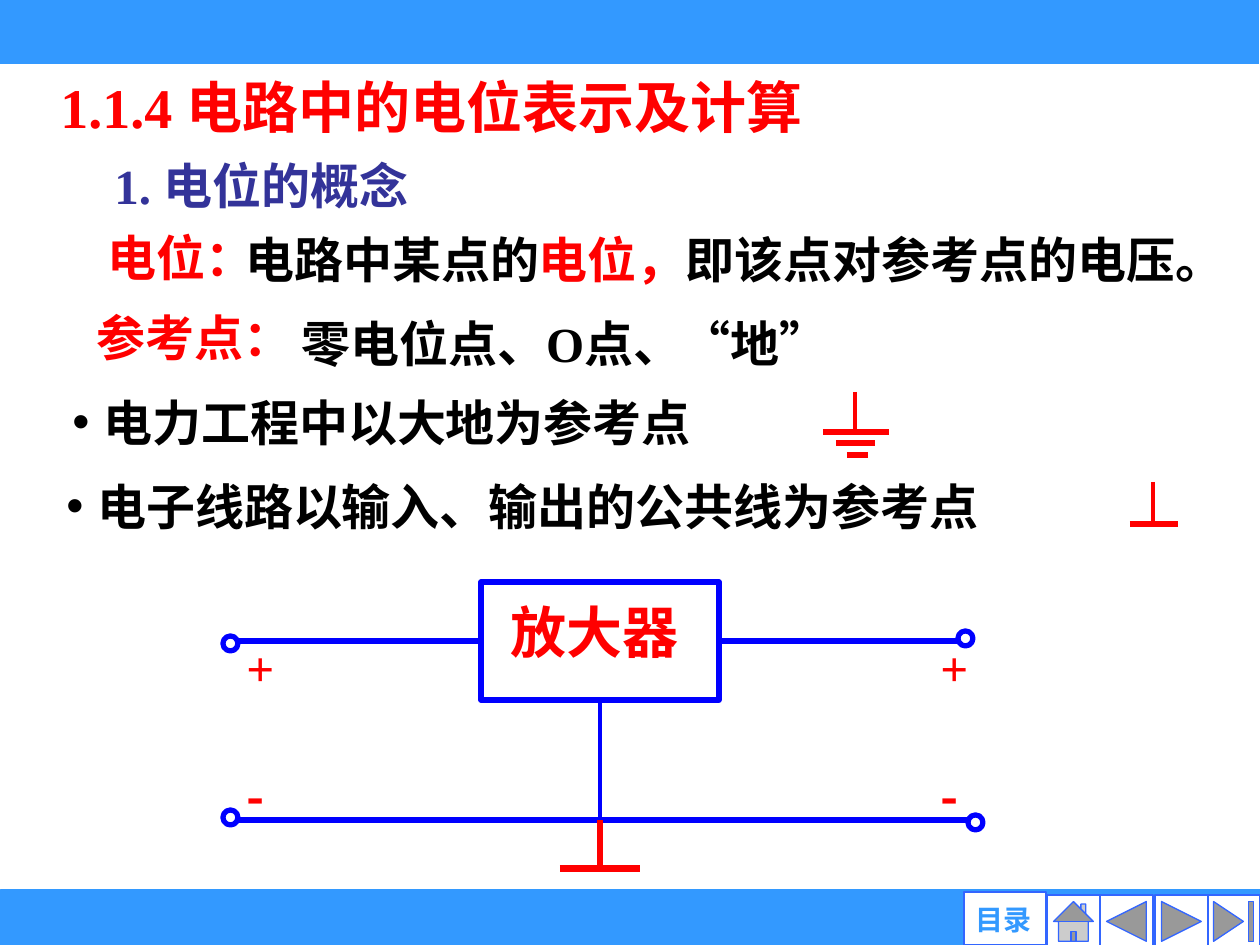
from lxml.etree import SubElement as Sub
from pptx import Presentation
from pptx.dml.color import RGBColor
from pptx.enum.shapes import MSO_CONNECTOR as Link, MSO_SHAPE as Kind
from pptx.enum.text import MSO_ANCHOR as Anchor, PP_ALIGN as Align
from pptx.oxml.ns import qn
from pptx.util import Emu, Pt

RED, BLUE, BLACK, WHITE = "FF0000", "0000FF", "000000", "FFFFFF"
SKY, EDGE, NAVY = "3399FF", "3366FF", "333399"
SERIF, SANS, HAN = "Times New Roman", "Arial", "Noto Sans CJK SC"


def px(n):
    """Turn pixels into EMU."""
    return Emu(round(n * 914400 / 126))


def color(code):
    """Turn a hex string into a colour."""
    return RGBColor.from_string(code)


def shape(page, kind, box, fill=None, line=None, width=3):
    """Add a preset shape with optional fill and line."""
    item = page.shapes.add_shape(kind, *map(px, box))
    item.shadow.inherit = False
    if fill:
        item.fill.solid()
        item.fill.fore_color.rgb = color(fill)
    else:
        item.fill.background()
    if line:
        item.line.color.rgb = color(line)
        item.line.width = Pt(width)
    else:
        item.line.fill.background()
    return item


def wire(page, start, end, tint=RED, width=3):
    """Add a straight line without a shadow."""
    item = page.shapes.add_connector(Link.STRAIGHT, *map(px, start + end))
    item.line.color.rgb = color(tint)
    item.line.width = Pt(width)
    Sub(item._element.spPr, qn("a:effectLst"))
    return item


def bullet(par):
    """Give a paragraph a round bullet and a hanging indent."""
    props = par._p.get_or_add_pPr()
    props.set("marL", str(px(31)))
    props.set("indent", str(-px(31)))
    Sub(props, qn("a:buFont"), typeface=SANS)
    Sub(props, qn("a:buChar"), char="•")


def text(page, box, *parts, size=28, font=SERIF, align=Align.LEFT,
         anchor=Anchor.TOP, wrap=True, inset=True, dot=False):
    """Add a bold text box from pairs of words and colour."""
    frame = page.shapes.add_textbox(*map(px, box)).text_frame
    frame.word_wrap = wrap
    frame.vertical_anchor = anchor
    if not inset:
        frame.margin_left = frame.margin_right = 0
        frame.margin_top = frame.margin_bottom = 0
    par = frame.paragraphs[0]
    par.alignment = align
    if dot:
        bullet(par)
    for words, tint in parts:
        run = par.add_run()
        run.text = words
        run.font.name = font
        run.font.size = Pt(size)
        run.font.bold = True
        run.font.color.rgb = color(tint)
        Sub(run._r.get_or_add_rPr(), qn("a:ea"), typeface=HAN)


def bars(page):
    """Draw the top and bottom bars with the buttons."""
    shape(page, Kind.RECTANGLE, (1, 892, 1259, 53), SKY, SKY)
    for kind, left in ((Kind.ACTION_BUTTON_END, 1207),
                       (Kind.ACTION_BUTTON_FORWARD_OR_NEXT, 1155),
                       (Kind.ACTION_BUTTON_BACK_OR_PREVIOUS, 1100),
                       (Kind.ACTION_BUTTON_HOME, 1047)):
        shape(page, kind, (left, 895, 53, 53), WHITE, EDGE, 0.75)
    shape(page, Kind.ACTION_BUTTON_CUSTOM, (964, 892, 82, 53), WHITE, EDGE, 0.75)
    text(page, (964, 902, 79, 34), ("目录", SKY), size=16, font=SANS,
         align=Align.CENTER, anchor=Anchor.MIDDLE, inset=False)
    shape(page, Kind.RECTANGLE, (0, -1, 1259, 65), SKY)


def notes(page):
    """Write the heading, the terms and the two points."""
    mid = Anchor.MIDDLE
    text(page, (48, 67, 1043, 79), ("1.1.4 电路中的电位表示及计算", RED),
         size=32, anchor=mid)
    text(page, (102, 149, 359, 72), ("1. 电位的概念", NAVY))
    text(page, (95, 221, 195, 72), ("电位：", RED), anchor=mid)
    text(page, (233, 223, 1027, 72), ("电路中某点的", BLACK), ("电位，", RED),
         ("即该点对参考点的电压。", BLACK), anchor=mid)
    text(page, (84, 301, 261, 72), ("参考点：", RED), anchor=mid)
    text(page, (289, 307, 840, 72), ("零电位点、O点、“地”", BLACK), anchor=mid)
    text(page, (60, 386, 737, 72), ("电力工程中以大地为参考点", BLACK), dot=True)
    text(page, (54, 470, 1074, 72),
         ("电子线路以输入、输出的公共线为参考点", BLACK), dot=True)


def grounds(page):
    """Draw the earth and common ground signs."""
    wire(page, (855, 392), (855, 433), width=2)
    for left, right, top in ((823, 889, 432), (836, 875, 443), (847, 868, 455)):
        wire(page, (left, top), (right, top))
    wire(page, (1153, 482), (1153, 525), width=2)
    wire(page, (1130, 524), (1178, 524))


def circuit(page):
    """Draw the amplifier with its wires, ports and signs."""
    amp = shape(page, Kind.RECTANGLE, (481, 582, 238, 118), line=BLUE)
    text(page, (441, 591, 307, 79), ("放大器", RED), size=32, font=SANS,
         align=Align.CENTER)
    wire(page, (233, 641), (481, 641), BLUE).end_connect(amp, 1)
    wire(page, (719, 641), (968, 641), BLUE).begin_connect(amp, 3)
    wire(page, (233, 820), (968, 820), BLUE)
    wire(page, (600, 820), (600, 700), BLUE, 2.5).end_connect(amp, 2)
    wire(page, (600, 820), (600, 869))
    wire(page, (560, 869), (640, 869), width=4)
    for left, top in ((223, 636), (968, 815), (958, 631), (223, 810)):
        shape(page, Kind.OVAL, (left, top, 15, 15), WHITE, BLUE)
    for left in (234, 928):
        text(page, (left, 631, 53, 72), ("+", RED), wrap=False)
        text(page, (left, 760, 50, 72), ("-", RED), font=HAN, wrap=False)


def main():
    """Build and save the slide."""
    deck = Presentation()
    deck.slide_width, deck.slide_height = px(1260), px(945)
    page = deck.slides.add_slide(deck.slide_layouts[6])
    bars(page)
    notes(page)
    grounds(page)
    circuit(page)
    deck.save("out.pptx")


if __name__ == "__main__":
    main()
